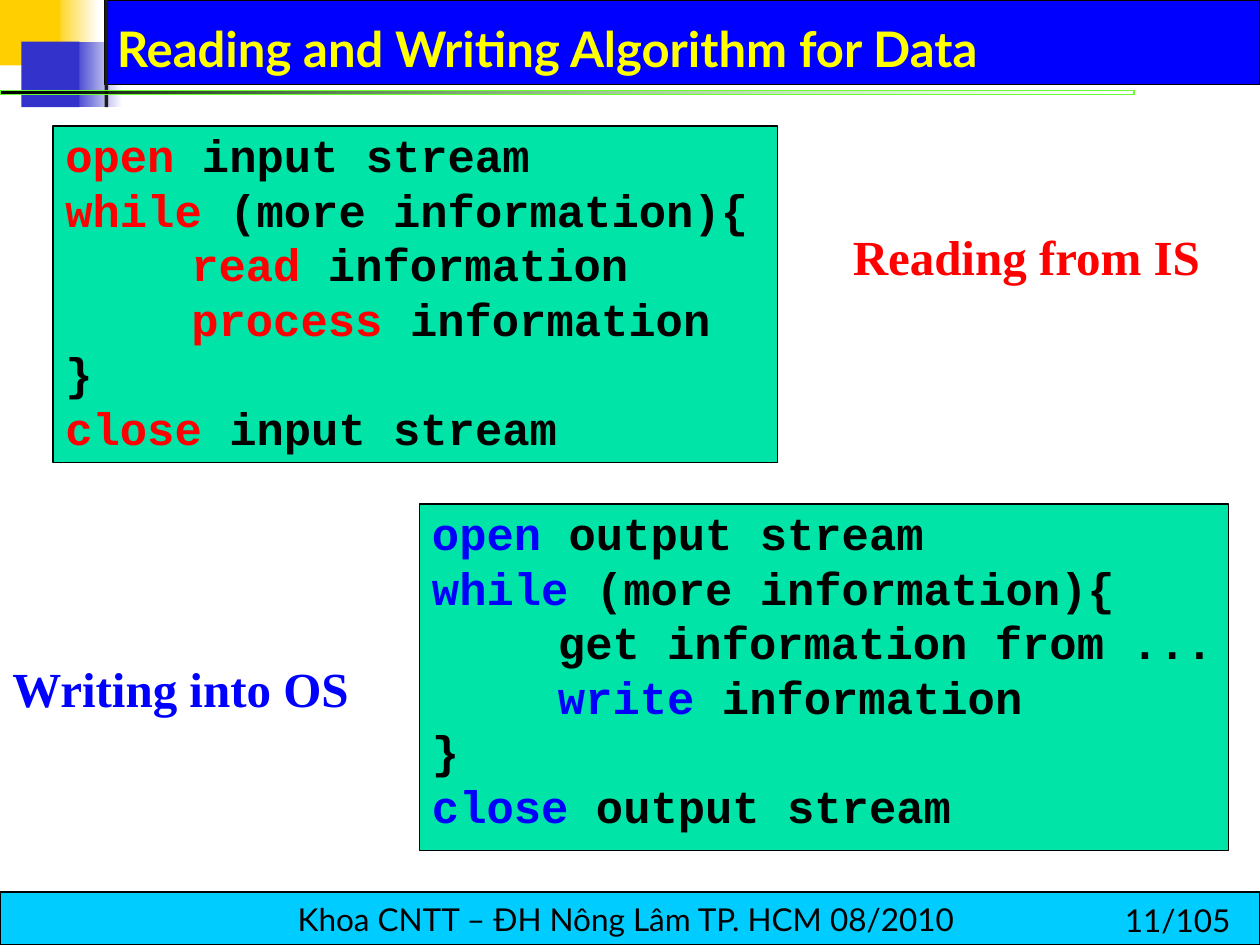
from lxml.etree import SubElement
from pptx import Presentation
from pptx.dml.color import RGBColor
from pptx.enum.shapes import MSO_SHAPE as Shape
from pptx.enum.text import MSO_ANCHOR as Anchor, PP_ALIGN as Align
from pptx.oxml.ns import qn
from pptx.util import Inches, Pt

BLACK = RGBColor(0x00, 0x00, 0x00)
WHITE = RGBColor(0xFF, 0xFF, 0xFF)
RED = RGBColor(0xFF, 0x00, 0x00)
BLUE = RGBColor(0x00, 0x00, 0xFF)
YELLOW = RGBColor(0xFF, 0xFF, 0x00)
GOLD = RGBColor(0xFF, 0xCF, 0x01)
INDIGO = RGBColor(0x33, 0x33, 0xCC)
CHARCOAL = RGBColor(0x1C, 0x1C, 0x1C)
LIME = RGBColor(0x66, 0xFF, 0x33)
CYAN = RGBColor(0x00, 0xCC, 0xFF)
MINT = RGBColor(0x00, 0xE4, 0xA8)

# Content: each code line is (indent level, keyword, rest)
READING = [
    (0, "open", " input stream"),
    (0, "while", " (more information){"),
    (1, "read", " information"),
    (1, "process", " information"),
    (0, "", "}"),
    (0, "close", " input stream"),
]
WRITING = [
    (0, "open", " output stream"),
    (0, "while", " (more information){"),
    (1, "", "get information from ..."),
    (1, "write", " information"),
    (0, "", "}"),
    (0, "close", " output stream"),
]

# Rectangles: place, fill (a pair fades from right to left), outline
RECTANGLES = [
    ((0.42, 0, 0.36, 0.52), (WHITE, GOLD), None),
    ((0.57, 0.33, 0.4, 0.52), (WHITE, INDIGO), None),
    ((0.83, 0, 9.17, 0.67), BLUE, BLACK),
    ((0, 0, 0.48, 0.52), GOLD, None),
    ((0.17, 0.33, 0.46, 0.52), INDIGO, None),
    ((0.83, 0, 0.03, 0.85), CHARCOAL, None),
]
RULE = ((0, 0.72, 9, 0.03), (LIME, BLACK), LIME)
FOOTER = ((0, 7.08, 10, 0.42), CYAN, BLACK)
PANELS = [
    ((3.33, 4, 6.42, 2.75), MINT, BLACK),
    ((0.42, 1, 5.75, 2.67), MINT, BLACK),
]

CODE = {"name": "Courier New", "size": Pt(26), "bold": True}
LABEL = {"name": "Times New Roman", "size": Pt(28), "bold": True}
TITLE = {"name": "Lato", "size": Pt(28), "bold": True}
SMALL = {"name": "Lato", "size": Pt(18), "bold": False}

deck = Presentation()
deck.slide_width, deck.slide_height = Inches(10), Inches(7.5)
page = deck.slides.add_slide(deck.slide_layouts[6])


def add_rectangle(place, fill, outline):
    box = page.shapes.add_shape(Shape.RECTANGLE, *map(Inches, place))
    box.shadow.inherit = False
    if isinstance(fill, RGBColor):
        box.fill.solid()
        box.fill.fore_color.rgb = fill
    else:
        box.fill.gradient()
        box.fill.gradient_angle = 180
        for stop, color in zip(box.fill.gradient_stops, fill):
            stop.color.rgb = color
    if outline is None:
        box.line.fill.background()
    else:
        box.line.color.rgb = outline
        box.line.width = Pt(0.75)
    return box


def add_span(para, text, style, color):
    span = para.add_run()
    span.text = text
    for key, value in style.items():
        setattr(span.font, key, value)
    span.font.color.rgb = color


def add_text(place, anchor=Anchor.TOP):
    frame = page.shapes.add_textbox(*map(Inches, place)).text_frame
    frame.word_wrap = True
    frame.vertical_anchor = anchor
    return frame


def add_code(place, lines, keyword_color):
    frame = add_text(place)
    for index, (level, keyword, rest) in enumerate(lines):
        para = frame.add_paragraph() if index else frame.paragraphs[0]
        if level:
            tabs = SubElement(para._p.get_or_add_pPr(), qn("a:tabLst"))
            SubElement(tabs, qn("a:tab"), pos=str(Inches(level)), algn="l")
            add_span(para, "\t" * level, CODE, BLACK)
        if keyword:
            add_span(para, keyword, CODE, keyword_color)
        add_span(para, rest, CODE, BLACK)


# Corner squares and title bar
for rectangle in RECTANGLES:
    add_rectangle(*rectangle)

# Rule under the title, fading to transparent
rule = add_rectangle(*RULE)
rule.line.width = 0
first_color = next(rule._element.spPr.iter(qn("a:srgbClr")))
SubElement(first_color, qn("a:alpha"), val="0")

# Footer bar and page number
footer = add_rectangle(*FOOTER).text_frame
footer.word_wrap = False
footer.vertical_anchor = Anchor.MIDDLE
footer.paragraphs[0].alignment = Align.CENTER
add_span(footer.paragraphs[0], "Khoa CNTT – ĐH Nông Lâm TP. HCM 08/2010 ", SMALL, BLACK)
number = add_text((8.83, 7.1, 1.17, 0.4))
add_span(number.paragraphs[0], "11/105", SMALL, BLACK)

# Code panels
for panel in PANELS:
    add_rectangle(*panel)

# Title
title = add_text((0.83, 0.08, 8.94, 0.58), Anchor.BOTTOM)
add_span(title.paragraphs[0], "Reading and Writing Algorithm for Data", TITLE, YELLOW)

# Code and its labels
add_code((0.42, 0.96, 5.83, 2.7), READING, RED)
add_code((3.33, 3.96, 6.42, 2.7), WRITING, BLUE)
for place, text, color in [
    ((6.67, 1.75, 3.33, 0.57), "Reading from IS", RED),
    ((0, 5.18, 3.33, 0.57), "Writing into OS", BLUE),
]:
    add_span(add_text(place).paragraphs[0], text, LABEL, color)

deck.save("out.pptx")
